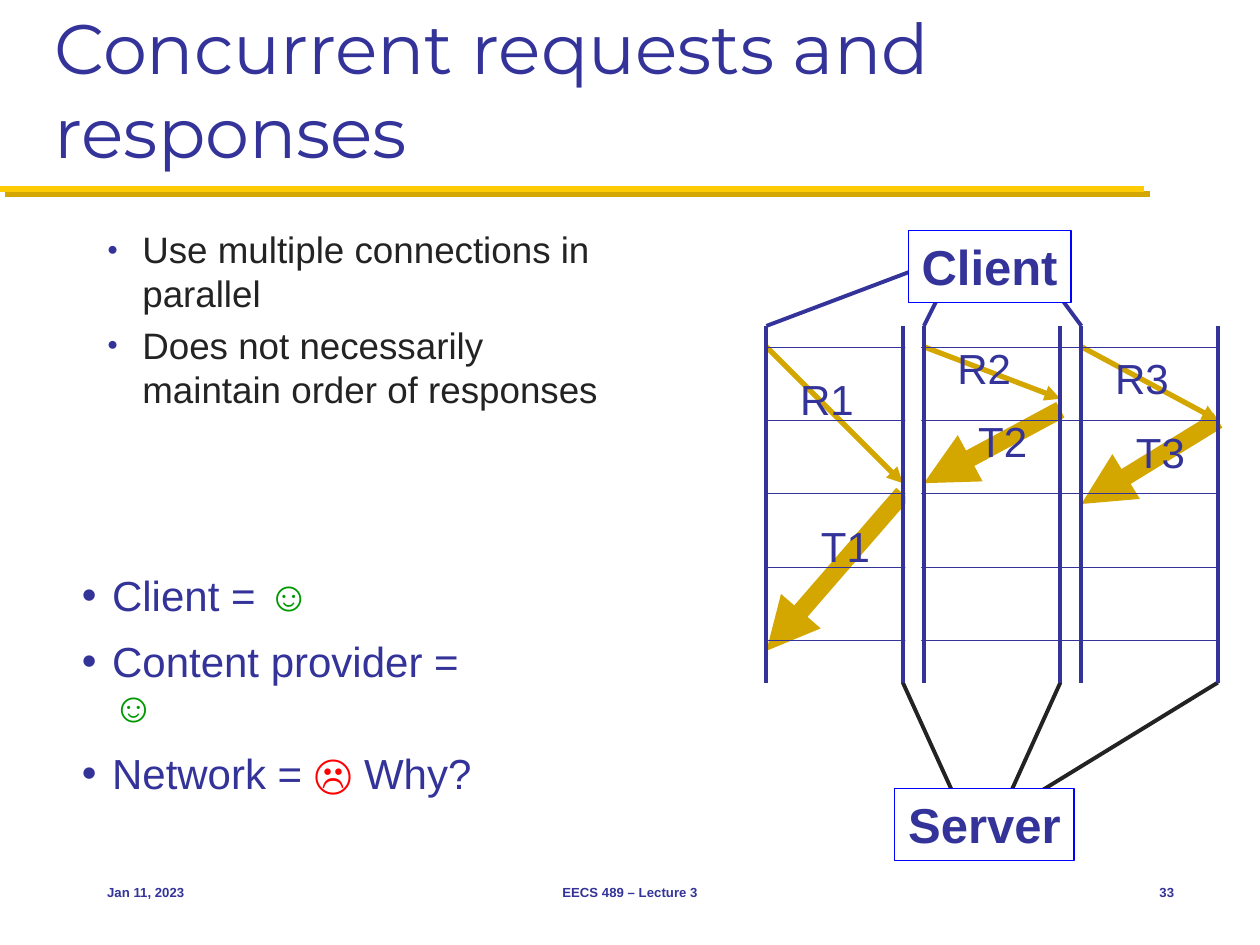
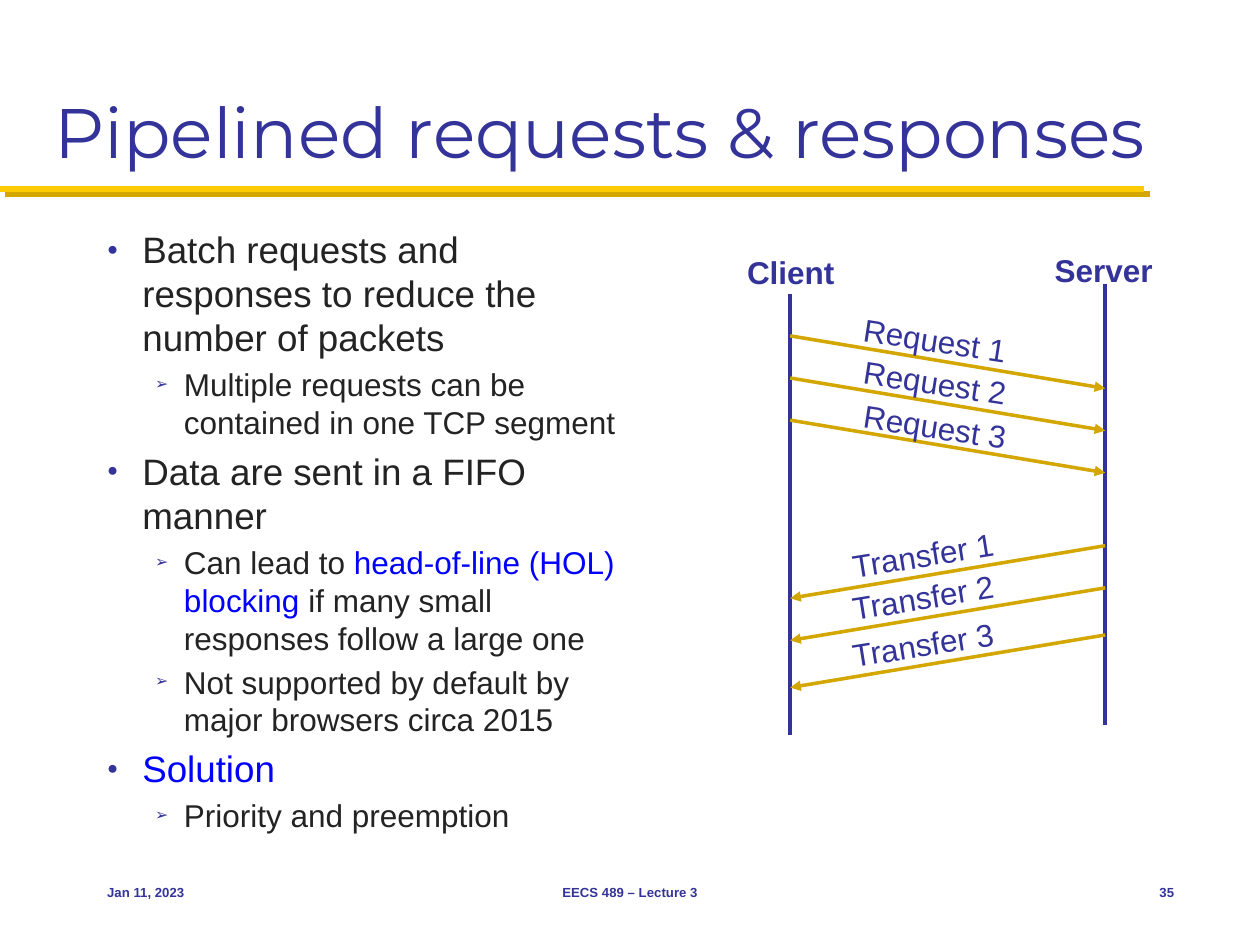
from lxml import etree
from pptx import Presentation
from pptx.dml.color import RGBColor
from pptx.enum import dml, shapes, text
from pptx.oxml import ns
from pptx.util import Cm, Pt

COLOURS = {
    "navy": "333399", "ink": "232323", "gold": "D3A600", "yellow": "FFCB05",
    "blue": "0000FF", "green": "009900", "red": "FF0000", "white": "FFFFFF",
}
LEFT, CENTER, RIGHT = text.PP_ALIGN.LEFT, text.PP_ALIGN.CENTER, text.PP_ALIGN.RIGHT
TOP, MIDDLE, BOTTOM = text.MSO_ANCHOR.TOP, text.MSO_ANCHOR.MIDDLE, text.MSO_ANCHOR.BOTTOM

# Bullet levels: left margin (cm), hanging indent (cm), sign, size in percent
DOT = (0.71, 0.71, "●", 50)
ARROW = (1.55, 0.58, "➢", 50)
BIG_DOT = (0.61, 0.61, "•", 100)


def add_line(slide, start, end, colour, width, arrow=False):
    """Draw a straight line between two points in cm, without a shadow."""
    line = slide.shapes.add_connector(
        shapes.MSO_CONNECTOR.STRAIGHT, *[Cm(value) for value in (*start, *end)])
    line.line.color.rgb = RGBColor.from_string(COLOURS[colour])
    line.line.width = Pt(width)
    if arrow:
        etree.SubElement(line.line._get_or_add_ln(), ns.qn("a:tailEnd"), type="triangle")
    etree.SubElement(line._element.spPr, ns.qn("a:effectLst"))
    return line


def add_text(slide, box, paragraphs, size, colour="navy", font="Arial", bold=False,
             align=LEFT, anchor=TOP, wrap=False, framed=False):
    """Add text; a paragraph is (runs, bullet, size, space before, line spacing)."""
    lengths = [Cm(value) for value in box]
    if framed:
        shape = slide.shapes.add_shape(shapes.MSO_SHAPE.RECTANGLE, *lengths)
        shape.shadow.inherit = False
        shape.fill.solid()
        shape.fill.fore_color.rgb = RGBColor.from_string(COLOURS["white"])
        shape.line.color.rgb = RGBColor.from_string(COLOURS["blue"])
        shape.line.width = Pt(0.75)
    else:
        shape = slide.shapes.add_textbox(*lengths)
    frame = shape.text_frame
    frame.word_wrap = wrap
    frame.vertical_anchor = anchor
    if isinstance(paragraphs, str):
        paragraphs = [([(paragraphs, colour)], None, size, 0, 1)]
    for index, (runs, bullet, points, before, spacing) in enumerate(paragraphs):
        paragraph = frame.add_paragraph() if index else frame.paragraphs[0]
        paragraph.alignment = align
        paragraph.space_before = Pt(before)
        paragraph.line_spacing = spacing
        if bullet:
            margin, hanging, sign, percent = bullet
            properties = paragraph._p.get_or_add_pPr()
            properties.set("marL", str(Cm(margin)))
            properties.set("indent", str(-Cm(hanging)))
            bullet_colour = etree.SubElement(properties, ns.qn("a:buClr"))
            etree.SubElement(bullet_colour, ns.qn("a:srgbClr"), val=COLOURS["navy"])
            etree.SubElement(properties, ns.qn("a:buSzPct"), val=str(percent * 1000))
            etree.SubElement(properties, ns.qn("a:buFont"), typeface="Arial")
            etree.SubElement(properties, ns.qn("a:buChar"), char=sign)
        paragraph.font.name = font
        paragraph.font.size = Pt(points)
        paragraph.font.bold = bold
        for words, run_colour in runs:
            run = paragraph.add_run()
            run.text = words
            run.font.color.rgb = RGBColor.from_string(COLOURS[run_colour])
    return shape


presentation = Presentation()
presentation.slide_width = Cm(25.4)
presentation.slide_height = Cm(19.05)

# What the slides share: title, rule, body list and footer
PAGES = [
    ("Concurrent requests and responses", "33", [
        (DOT, [("Use multiple connections in parallel", "ink")]),
        (DOT, [("Does not necessarily maintain order of responses", "ink")]),
    ]),
    ("Pipelined requests & responses", "35", [
        (DOT, [("Batch requests and responses to reduce the number of packets", "ink")]),
        (ARROW, [("Multiple requests can be contained in one TCP segment", "ink")]),
        (DOT, [("Data are sent in a FIFO manner", "ink")]),
        (ARROW, [("Can lead to ", "ink"), ("head-of-line (HOL) blocking", "blue"),
                 (" if many small responses follow a large one", "ink")]),
        (ARROW, [("Not supported by default by major browsers circa 2015", "ink")]),
        (DOT, [("Solution", "blue")]),
        (ARROW, [("Priority and preemption", "ink")]),
    ]),
]
for title, number, items in PAGES:
    slide = presentation.slides.add_slide(presentation.slide_layouts[6])
    rule = add_line(slide, (0, 3.81), (23.07, 3.81), "yellow", 3.5)
    shadow = etree.SubElement(
        rule._element.spPr.find(ns.qn("a:effectLst")), ns.qn("a:outerShdw"),
        dist=str(Pt(4.2)), dir="2700000", algn="ctr", rotWithShape="0")
    etree.SubElement(shadow, ns.qn("a:srgbClr"), val=COLOURS["gold"])
    add_text(slide, (0.85, 0.42, 23.7, 3.18), title, 40, font="Montserrat",
             anchor=BOTTOM, wrap=True)
    body = []
    for bullet, runs in items:
        points = 21 if bullet is DOT else 18
        body.append((runs, bullet, points, points * 0.2, 1))
    add_text(slide, (1.91, 4.45, 10.8, 12.28), body, 21, wrap=True)
    for words, left, width, align in [("Jan 11, 2023", 1.91, 5.29, LEFT),
                                      ("EECS 489 – Lecture 3", 8.68, 8.04, CENTER),
                                      (number, 22.23, 1.69, RIGHT)]:
        add_text(slide, (left, 17.36, width, 1.27), words, 7.5, bold=True,
                 align=align, anchor=MIDDLE, wrap=True)

concurrent, pipelined = presentation.slides

# Slide 1: who is happy with parallel connections
verdicts = [
    [("Client = ", "navy"), ("☺", "green")],
    [("Content provider = ", "navy"), ("☺", "green")],
    [("Network = ", "navy"), ("☹", "red"), (" Why?", "navy")],
]
add_text(concurrent, (1.4, 11.81, 9.1, 4.06),
         [(runs, BIG_DOT, 24, 12, 0.9) for runs in verdicts],
         24, anchor=MIDDLE, wrap=True)

# Slide 1: three connections side by side
lanes = [(15.45 + 3.175 * lane, 18.2 + 3.175 * lane) for lane in range(3)]
lane_top, lane_bottom, first_tick = 6.57, 13.76, 6.99

# Per lane: request arrival, transfer start and end, label positions
exchanges = [
    (9.74, 9.95, 13.12, (15.88, 7.41), (16.3, 10.37)),
    (8.04, 8.26, 9.74, (19.05, 6.77), (19.47, 8.26)),
    (8.47, 8.47, 10.16, (22.23, 6.99), (22.65, 8.47)),
]
for number, ((left, right), exchange) in enumerate(zip(lanes, exchanges), 1):
    arrival, sent, received, request_label, transfer_label = exchange
    add_line(concurrent, (left, first_tick), (right, arrival), "gold", 3, arrow=True)
    add_line(concurrent, (right, sent), (left, received), "gold", 10, arrow=True)
    add_text(concurrent, (*request_label, 1.6, 1.28), f"R{number}", 24)
    add_text(concurrent, (*transfer_label, 1.53, 1.28), f"T{number}", 24)

for tick in range(5):
    y = first_tick + 1.48 * tick
    dotted = add_line(concurrent, (lanes[0][0], y), (lanes[-1][1], y), "navy", 0.25)
    dotted.line.dash_style = dml.MSO_LINE.ROUND_DOT

client_ends = [(18.84, 5.29), (19.05, 5.72), (21.17, 5.72)]
server_ends = [(19.26, 16.09), (20.32, 16.09), (20.75, 16.09)]
for (left, right), client_end, server_end in zip(lanes, client_ends, server_ends):
    add_line(concurrent, (left, lane_top), client_end, "navy", 2.25)
    add_line(concurrent, (right, lane_bottom), server_end, "ink", 2.25)
    for x in (left, right):
        add_line(concurrent, (x, lane_top), (x, lane_bottom), "navy", 2.25)

gap = concurrent.shapes.add_shape(
    shapes.MSO_SHAPE.RECTANGLE, Cm(18.25), Cm(6.77), Cm(0.32), Cm(6.99))
gap.shadow.inherit = False
gap.fill.solid()
gap.fill.fore_color.rgb = RGBColor.from_string(COLOURS["white"])
gap.line.fill.background()

for words, left, top, width in [("Client", 18.31, 4.65, 3.28), ("Server", 18.04, 15.9, 3.61)]:
    add_text(concurrent, (left, top, width, 1.45), words, 28, bold=True,
             align=CENTER, framed=True)

# Slide 2: one connection, requests sent back to back
client_x, server_x = 15.93, 22.28
for words, x, line_top, left, top, width in [
        ("Client", client_x, 5.92, 14.81, 4.98, 2.34),
        ("Server", server_x, 5.72, 21.01, 4.93, 2.54)]:
    add_line(pipelined, (x, line_top), (x, line_top + 8.89), "navy", 2)
    add_text(pipelined, (left, top, width, 1.04), words, 18, bold=True)

# Per message kind: ends, label left, rotation, (arrow top, label top) pairs
messages = [
    ("Request", client_x, server_x, 17.15, 8.7, [(6.77, 6.35), (7.62, 7.2), (8.47, 8.09)]),
    ("Transfer", server_x, client_x, 16.92, -9.1, [(11, 10.67), (11.85, 11.52), (12.8, 12.47)]),
]
for kind, start_x, end_x, label_left, rotation, rows in messages:
    for number, (y, label_top) in enumerate(rows, 1):
        add_line(pipelined, (start_x, y), (end_x, y + 1.06), "gold", 2, arrow=True)
        label = add_text(pipelined, (label_left, label_top, 3.47, 1.04),
                         f"{kind} {number}", 18)
        label.rotation = rotation

presentation.save("out.pptx")
